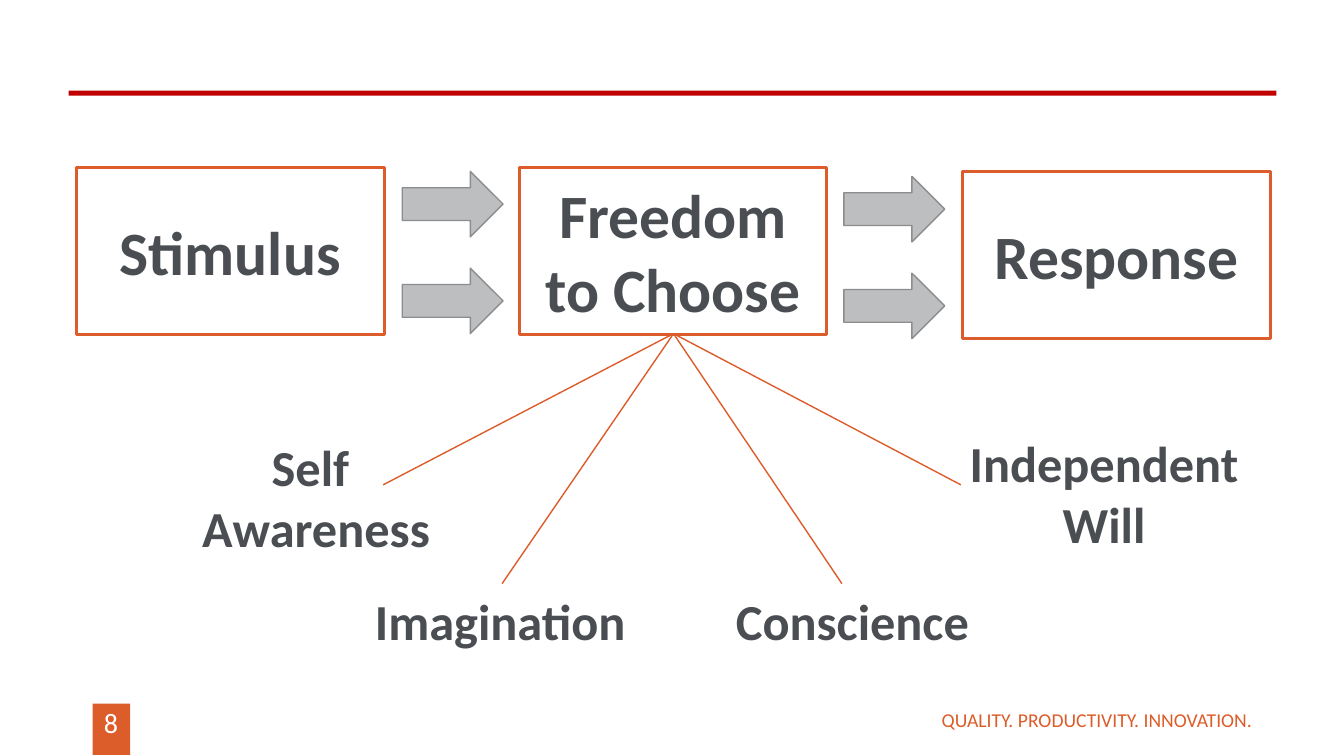
"""Builds the stimulus, choice and response slide."""
from lxml import etree
from pptx import Presentation
from pptx.dml.color import RGBColor
from pptx.enum.shapes import MSO_CONNECTOR, MSO_SHAPE
from pptx.enum.text import MSO_ANCHOR, PP_ALIGN
from pptx.oxml.ns import qn
from pptx.util import Inches, Pt

RECT, ARROW = MSO_SHAPE.RECTANGLE, MSO_SHAPE.RIGHT_ARROW
STRAIGHT = MSO_CONNECTOR.STRAIGHT
LEFT, CENTER, RIGHT = PP_ALIGN.LEFT, PP_ALIGN.CENTER, PP_ALIGN.RIGHT
TOP, MIDDLE = MSO_ANCHOR.TOP, MSO_ANCHOR.MIDDLE

ORANGE, OUTLINE, RED = "DC5D2A", "DC5C2B", "C00000"
WHITE, DARK, GRAY, GRAY_LINE = "FFFFFF", "4A4E52", "BDBEC0", "8C8D8E"


def rgb(value):
    return RGBColor.from_string(value)


class SlideBuilder:
    def __init__(self, slide, font="Calibri"):
        self.s = slide
        self.font = font

    def label(self, sp, text, size, color=DARK, bold=True, align=CENTER,
              anchor=MIDDLE, wrap=True, inset=None):
        tf = sp.text_frame
        tf.word_wrap = wrap
        tf.vertical_anchor = anchor
        if inset is not None:
            for side in ("left", "top", "right", "bottom"):
                setattr(tf, f"margin_{side}", Inches(inset))
        p = tf.paragraphs[0]
        p.text = text
        p.alignment = align
        style = {"name": self.font, "size": Pt(size), "bold": bold}
        for r in p.runs:
            for key, value in style.items():
                setattr(r.font, key, value)
            r.font.color.rgb = rgb(color)

    def shape(self, kind, box, fill, line=None, width=1):
        sp = self.s.shapes.add_shape(kind, *map(Inches, box))
        sp.shadow.inherit = False
        sp.fill.solid()
        sp.fill.fore_color.rgb = rgb(fill)
        if line:
            sp.line.color.rgb = rgb(line)
            sp.line.width = Pt(width)
        else:
            sp.line.fill.background()
        return sp

    def text(self, box, text, size, **style):
        sp = self.s.shapes.add_textbox(*map(Inches, box))
        self.label(sp, text, size, **style)

    def line(self, start, end):
        sp = self.s.shapes.add_connector(STRAIGHT, *map(Inches, start + end))
        sp.line.color.rgb = rgb(OUTLINE)
        sp.line.width = Pt(1)
        etree.SubElement(sp._element.spPr, qn("a:effectLst"))


def main():
    prs = Presentation()
    prs.slide_width, prs.slide_height = Inches(13.33), Inches(7.5)
    b = SlideBuilder(prs.slides.add_slide(prs.slide_layouts[6]))

    b.shape(RECT, (0.92, 6.98, 0.37, 0.51), ORANGE)
    b.text((0.86, 7, 0.48, 0.34), "8", 20, color=WHITE, bold=False,
           anchor=TOP, inset=0)
    b.text((8.35, 6.94, 4.07, 0.4), "QUALITY. PRODUCTIVITY. INNOVATION.", 14,
           color=ORANGE, bold=False, align=RIGHT, inset=0)
    b.shape(RECT, (0.68, 0.9, 11.98, 0.05), RED)

    for x, y, stage in ((0.76, 1.66, "Stimulus"),
                        (5.15, 1.66, "Freedom to Choose"),
                        (9.55, 1.7, "Response")):
        sp = b.shape(RECT, (x, y, 3.05, 1.66), WHITE, OUTLINE, 2.25)
        b.label(sp, stage, 44)

    for x, y in ((3.99, 1.7), (8.37, 1.75)):
        for drop in (0, 0.96):
            b.shape(ARROW, (x, y + drop, 1, 0.65), GRAY, GRAY_LINE)

    for end in ((3.8, 4.81), (9.53, 4.81), (4.98, 5.79), (8.35, 5.79)):
        b.line((6.68, 3.31), end)

    for box, gift, align, wrap in (
            ((1.89, 4.28, 2.49, 1.31), "Self \vAwareness", CENTER, False),
            ((3.62, 5.81, 2.99, 0.71), "Imagination", LEFT, True),
            ((7.2, 5.81, 2.99, 0.71), "Conscience", LEFT, True),
            ((9.09, 4.24, 3.72, 1.31), "Independent Will", CENTER, True)):
        b.text(box, gift, 36, align=align, anchor=TOP, wrap=wrap)

    prs.save("out.pptx")


if __name__ == "__main__":
    main()
